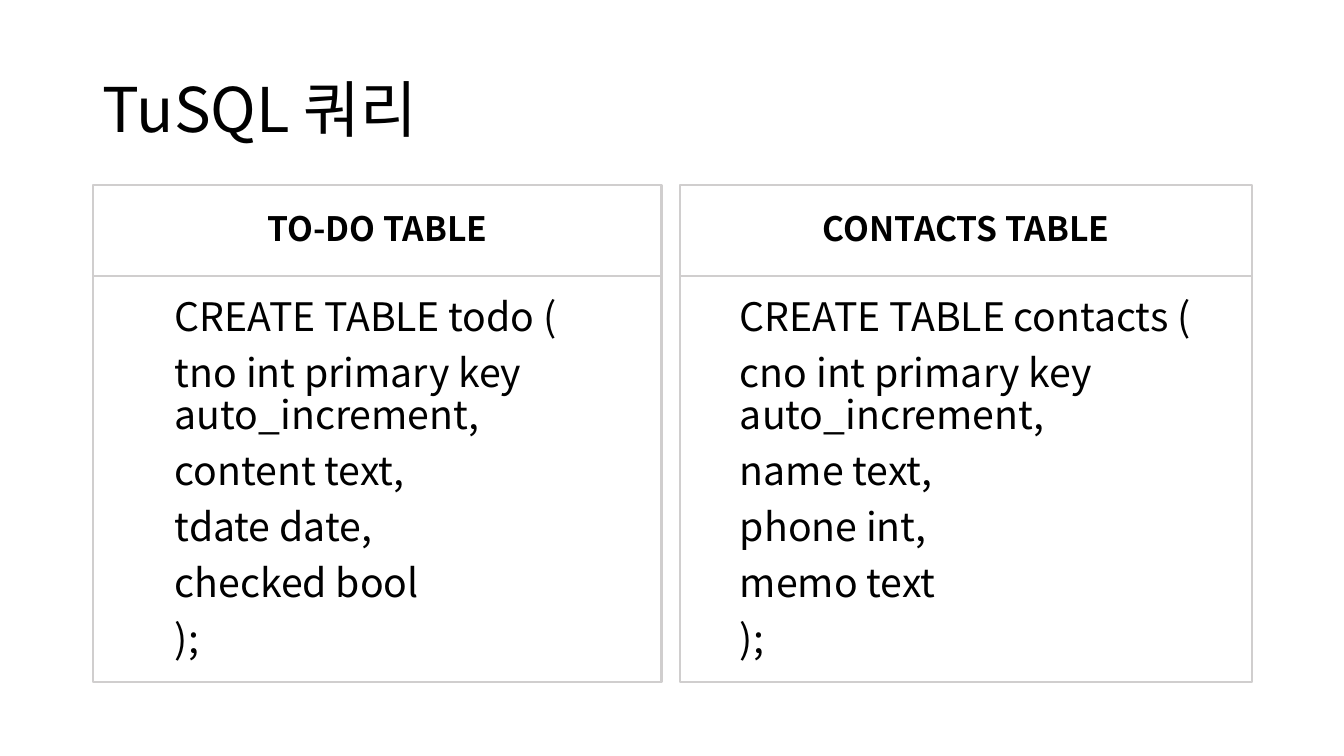
from dataclasses import dataclass

from lxml import etree
from pptx import Presentation, util as u
from pptx.dml.color import RGBColor
from pptx.enum import shapes, text
from pptx.oxml import ns

FONT = "Noto Sans CJK KR"
BLACK = RGBColor(0x00, 0x00, 0x00)
GRAY = RGBColor(0xD0, 0xCE, 0xCE)
SCALE = 914400 / 100.8
TOP, HEAD, BODY = 185, 91, 406
PAD = 10


@dataclass
class Panel:
    """One bordered column: heading above, query below."""
    left: int
    width: int
    inset: int
    head: str
    lines: list[str]


PANELS = [
    Panel(93, 569, 82, "TO-DO TABLE", [
        "CREATE TABLE todo (", "tno int primary key auto_increment,",
        "content text,", "tdate date,", "checked bool", ");"]),
    Panel(680, 572, 60, "CONTACTS TABLE", [
        "CREATE TABLE contacts (", "cno int primary key auto_increment,",
        "name text,", "phone int,", "memo text", ");"]),
]


def px(num: float) -> int:
    """Turn pixels into EMU."""
    return round(num * SCALE)


def write(shape, lines: list[str], *, size: int, bold: bool = False,
          align=text.PP_ALIGN.LEFT, inset: int = PAD, lead=0.9,
          gap: int = 0) -> None:
    """Fill a shape with formatted paragraphs."""
    frame = shape.text_frame
    frame.word_wrap = True
    frame.vertical_anchor = text.MSO_ANCHOR.MIDDLE
    frame.margin_left, frame.margin_right = px(inset), px(PAD)
    frame.margin_top = frame.margin_bottom = px(PAD / 2)
    for i, line in enumerate(lines):
        para = frame.add_paragraph() if i else frame.paragraphs[0]
        para.alignment, para.line_spacing = align, lead
        para.space_before = u.Pt(gap)
        run = para.add_run()
        run.text = line
        font = run.font
        font.name, font.size, font.bold = FONT, u.Pt(size), bold
        font.color.rgb = BLACK
        east = etree.SubElement(run._r.get_or_add_rPr(), ns.qn("a:ea"))
        east.set("typeface", FONT)


def frame_box(slide, left: int, top: int, width: int, height: int):
    """Add an unfilled box with a gray border."""
    box = slide.shapes.add_shape(shapes.MSO_SHAPE.RECTANGLE, px(left),
                                 px(top), px(width), px(height))
    box.shadow.inherit = False
    box.fill.background()
    box.line.color.rgb = GRAY
    box.line.width = u.Pt(2)
    return box


def draw(slide, panel: Panel) -> None:
    """Draw one panel's heading and query."""
    head = frame_box(slide, panel.left, TOP, panel.width, HEAD)
    write(head, [panel.head], size=24, bold=True,
          align=text.PP_ALIGN.CENTER)
    body = frame_box(slide, panel.left, TOP + HEAD, panel.width, BODY)
    # Fixed leading keeps the query inside its box.
    write(body, panel.lines, size=28, inset=panel.inset,
          lead=u.Pt(30), gap=10)


def main() -> None:
    """Build and save the slide."""
    deck = Presentation()
    deck.slide_width, deck.slide_height = px(1344), px(756)
    slide = deck.slides.add_slide(deck.slide_layouts[6])
    title = slide.shapes.add_textbox(px(93), px(40), px(1159), px(146))
    write(title, ["TuSQL 쿼리"], size=44)
    for panel in PANELS:
        draw(slide, panel)
    deck.save("out.pptx")


main()
